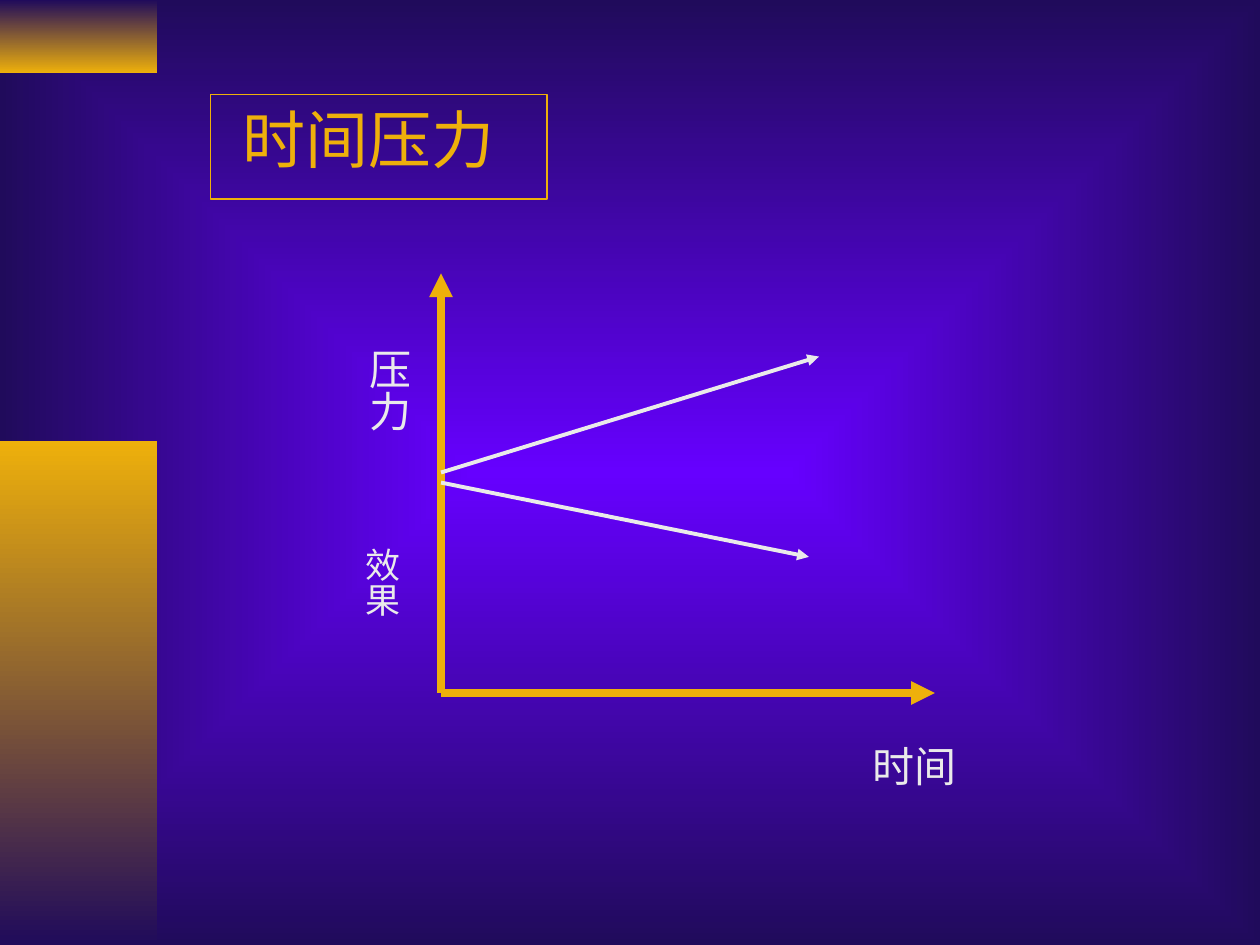
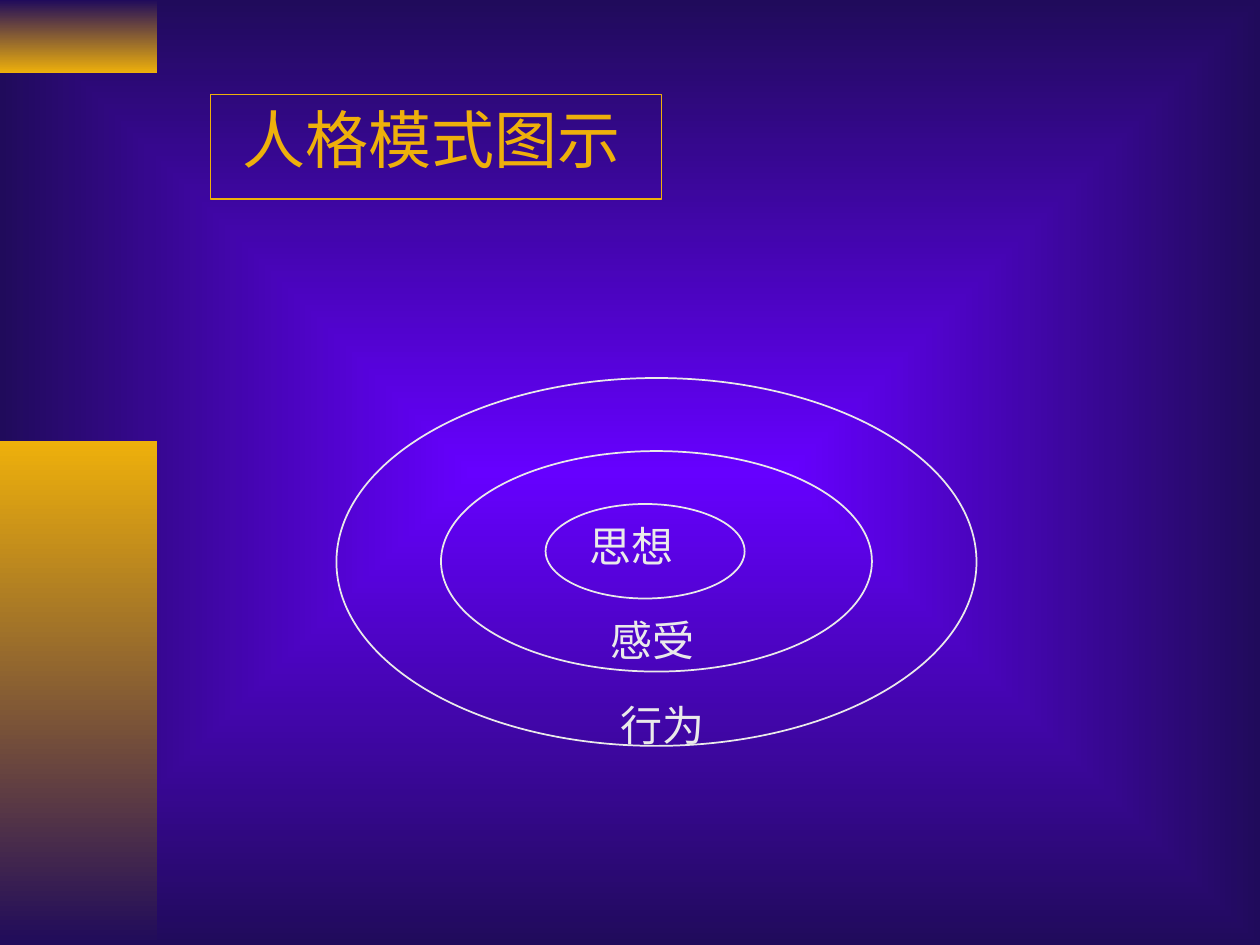
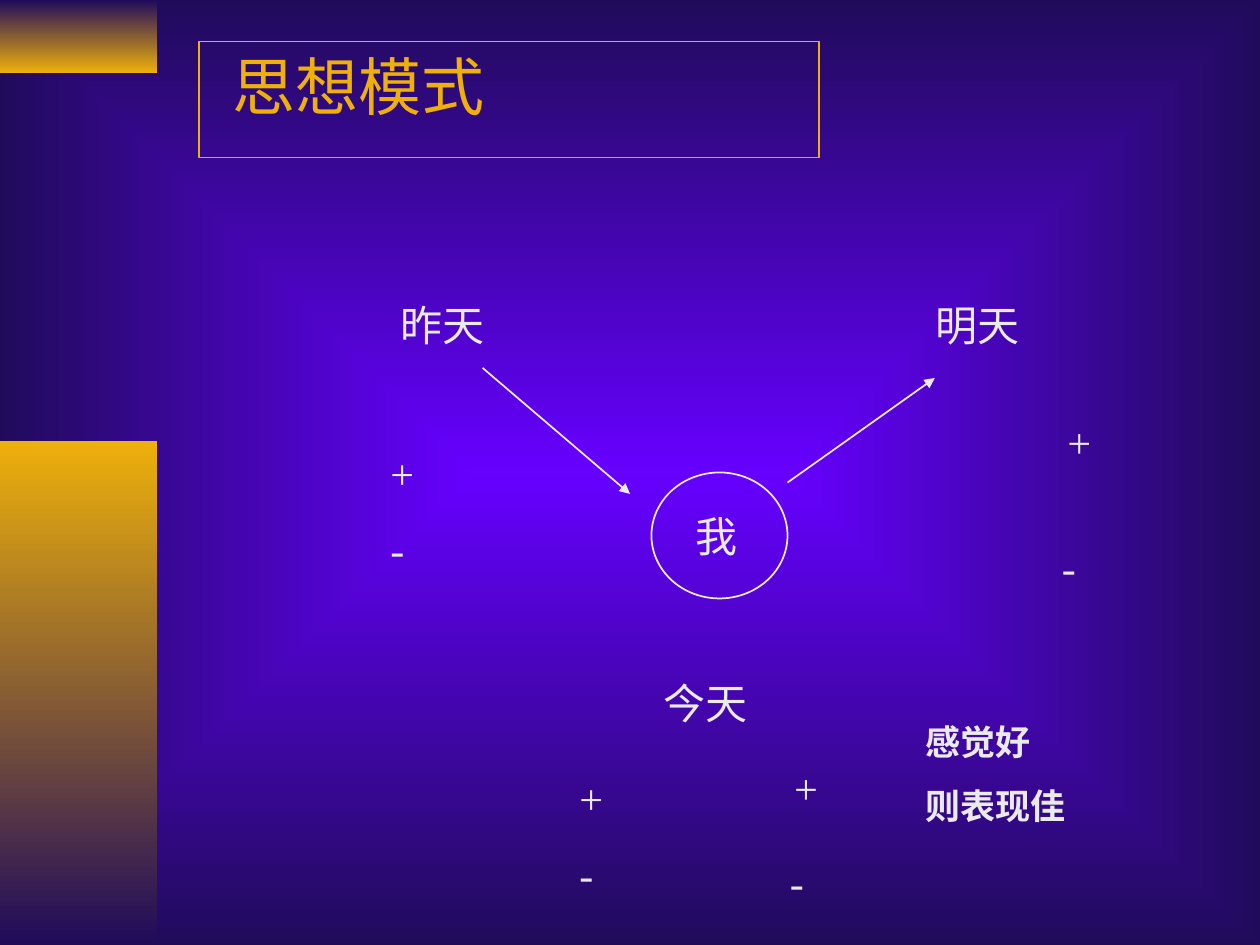
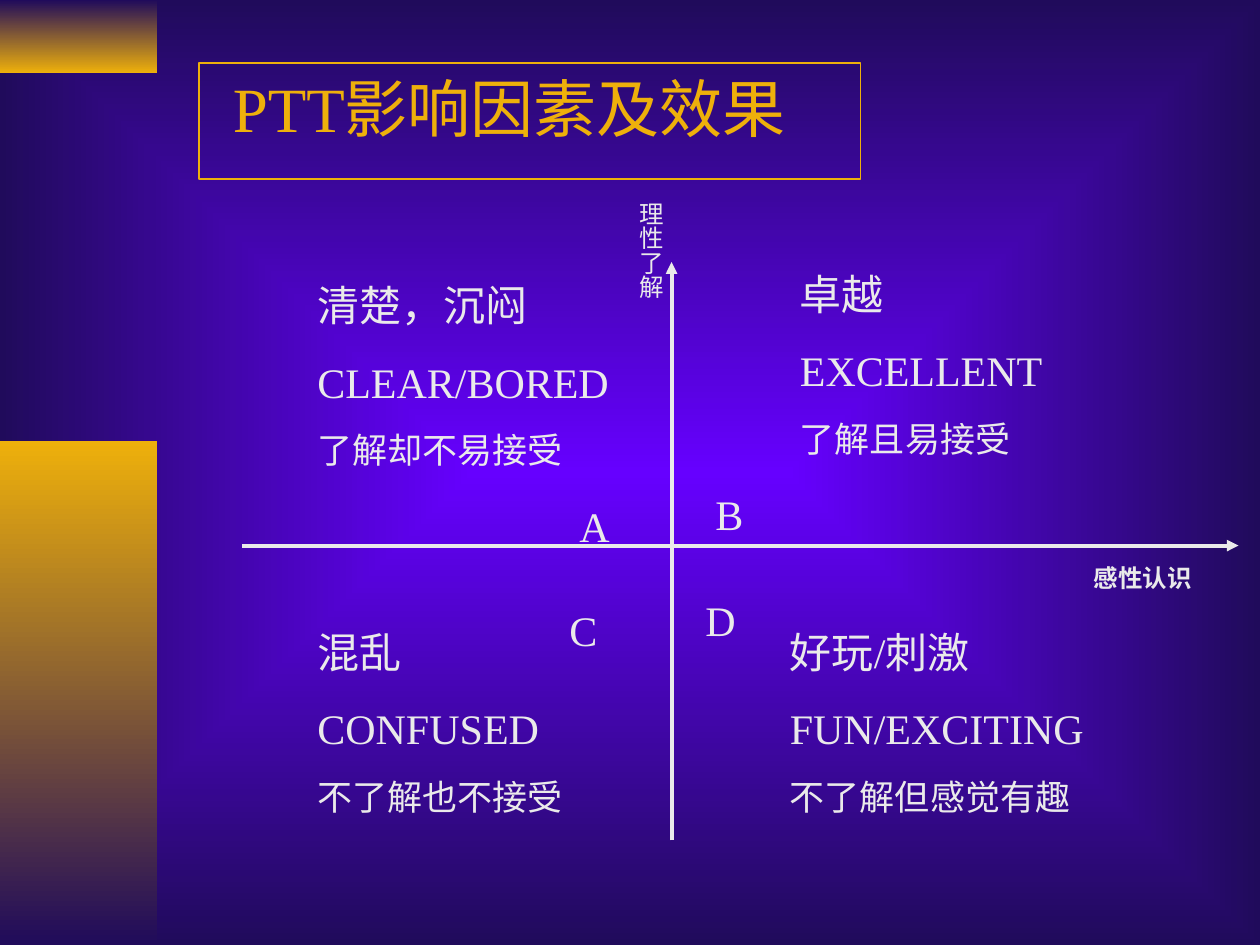
"""Build four slides on time pressure, personality, thinking and PTT effects."""
from dataclasses import dataclass

from lxml import etree
from pptx import Presentation
from pptx.dml.color import RGBColor
from pptx.enum.shapes import MSO_CONNECTOR, MSO_SHAPE
from pptx.enum.text import MSO_AUTO_SIZE
from pptx.oxml.ns import qn
from pptx.util import Inches, Pt

RECT, OVAL = MSO_SHAPE.RECTANGLE, MSO_SHAPE.OVAL
STRAIGHT = MSO_CONNECTOR.STRAIGHT
FIT = MSO_AUTO_SIZE.SHAPE_TO_FIT_TEXT


@dataclass(frozen=True)
class Theme:
    font: str = "Times New Roman"
    gold: str = "EEB00B"
    light: str = "EAEAEA"
    violet: str = "6600FF"
    navy: str = "200B5B"
    title: int = 36
    body: int = 24
    note: int = 20
    small: int = 14
    space: float = 0.625
    thin: float = 1
    medium: float = 2.25
    thick: float = 4.5


T = Theme()

BANDS = [
    ((0, 0, 1.25, 0.58), (T.navy, T.gold)),
    ((0, 3.5, 1.25, 4), (T.gold, T.navy)),
]

SLIDES = [
    {
        "title": ("时间压力", (1.83, 0.75, 5.25, 0.7)),
        "frame": (1.67, 0.75, 2.67, 0.83),
        "arrows": [
            ((3.5, 5.5), (7.42, 5.5), T.gold, T.thick),
            ((3.5, 5.5), (3.5, 2.17), T.gold, T.thick),
            ((3.5, 3.75), (6.5, 2.83), T.light, T.medium),
            ((3.5, 3.83), (6.42, 4.42), T.light, T.medium),
        ],
        "labels": [
            ((6.83, 5.83, 1.08, 0.5), ["时间"], {}),
            ((2.74, 2.67, 0.6, 1.08), ["压力"], {"vertical": True}),
            ((2.72, 4.25, 0.53, 1.17), ["效果"], {"sizes": [T.note], "vertical": True}),
        ],
    },
    {
        "title": ("人格模式图示", (1.83, 0.75, 5.25, 0.7)),
        "frame": (1.67, 0.75, 3.58, 0.83),
        "ovals": [
            (4.33, 4, 1.58, 0.75),
            (3.5, 3.58, 3.42, 1.75),
            (2.67, 3, 5.08, 2.92),
        ],
        "labels": [
            ((4.58, 4.08, 1.08, 0.5), ["思想"], {}),
            ((4.75, 4.83, 1, 0.5), ["感受"], {}),
            ((4.83, 5.5, 1, 0.5), ["行为"], {}),
        ],
    },
    {
        "title": ("思想模式", (1.75, 0.33, 5.08, 0.7)),
        "frame": (1.58, 0.33, 4.92, 0.92),
        "ovals": [(5.17, 3.75, 1.08, 1)],
        "arrows": [
            ((3.83, 2.92), (5, 3.92), T.light, T.thin),
            ((6.25, 3.83), (7.42, 3), T.light, T.thin),
        ],
        "labels": [
            ((5.42, 4, 1.08, 0.5), ["我"], {}),
            ((3.08, 2.33, 0.92, 0.5), ["昨天"], {}),
            ((7.33, 2.33, 0.92, 0.5), ["明天"], {}),
            ((5.17, 5.33, 1.17, 0.5), ["今天"], {}),
            ((7.25, 5.67, 2.17, 0.94), ["感觉好", "则表现佳"],
             {"sizes": [T.note] * 2, "bold": True}),
            ((3, 3.5, 0.92, 1.11), ["+", "-"], {}),
            ((8.24, 3.33, 0.6, 1.33), ["+"], {"vertical": True}),
            ((8.33, 4.25, 0.42, 0.5), ["-"], {}),
            ((4.5, 6.08, 0.58, 1.11), ["+", "-"], {}),
            ((6.07, 6.08, 0.6, 1.17), ["+"], {"vertical": True}),
            ((6.17, 6.75, 0.67, 0.5), ["-"], {}),
        ],
    },
    {
        "title": ("PTT影响因素及效果", (1.75, 0.5, 5.08, 0.7)),
        "frame": (1.58, 0.5, 5.25, 0.92),
        "arrows": [
            ((1.92, 4.33), (9.83, 4.33), T.light, T.medium),
            ((5.33, 6.67), (5.33, 2.08), T.light, T.medium),
        ],
        "labels": [
            ((2.42, 2.17, 2.83, 1.62), ["清楚，沉闷", "CLEAR/BORED", "了解却不易接受"], {}),
            ((6.25, 2.08, 2.92, 1.62), ["卓越", "EXCELLENT", "了解且易接受"], {}),
            ((2.42, 4.92, 2.92, 1.62), ["混乱", "CONFUSED", "不了解也不接受"], {}),
            ((6.17, 4.92, 3.08, 1.62), ["好玩/刺激", "FUN/EXCITING", "不了解但感觉有趣"], {}),
            ((4.5, 3.92, 0.58, 0.5), ["A"], {}),
            ((5.58, 3.83, 0.75, 0.5), ["B"], {}),
            ((4.42, 4.75, 0.83, 0.5), ["C"], {}),
            ((5.5, 4.67, 0.75, 0.5), ["D"], {}),
            ((8.58, 4.42, 1.42, 0.34), ["感性认识"], {"sizes": [T.small], "bold": True}),
            ((4.9, 1.5, 0.43, 1.33), ["理性了解"], {"sizes": [T.small], "vertical": True}),
        ],
    },
]


def rgb(color):
    return RGBColor.from_string(color)


def inches(values):
    return [Inches(v) for v in values]


def set_gradient(fill, colors):
    fill.gradient()
    for stop, color in zip(fill.gradient_stops, colors):
        stop.color.rgb = rgb(color)


def add_shape(slide, kind, at, color=None):
    sp = slide.shapes.add_shape(kind, *inches(at))
    sp.shadow.inherit = False
    sp.fill.background()
    if color:
        sp.line.color.rgb = rgb(color)
        sp.line.width = Pt(T.thin)
    else:
        sp.line.fill.background()
    return sp


def add_text(slide, at, lines, sizes=(T.body, T.body, T.note), color=T.light,
             bold=False, vertical=False):
    sp = slide.shapes.add_textbox(*inches(at))
    tf = sp.text_frame
    tf.word_wrap = True
    tf.auto_size = FIT
    if vertical:
        tf.margin_left = tf.margin_right = Inches(0.05)
        tf.margin_top = tf.margin_bottom = Inches(0.1)
        sp.element.txBody.find(qn("a:bodyPr")).set("vert", "eaVert")
    for i, (line, size) in enumerate(zip(lines, sizes)):
        p = tf.add_paragraph() if i else tf.paragraphs[0]
        p.text = line
        if i:
            p.space_before = Pt(size * T.space)
        p.font.name = T.font
        p.font.size = Pt(size)
        p.font.bold = bold
        p.font.color.rgb = rgb(color)


def add_arrow(slide, start, end, color, width):
    cx = slide.shapes.add_connector(STRAIGHT, *inches(start + end))
    cx.line.color.rgb = rgb(color)
    cx.line.width = Pt(width)
    ln = cx.line.fill and cx.element.spPr.find(qn("a:ln"))
    etree.SubElement(ln, qn("a:tailEnd"), type="triangle")
    etree.SubElement(cx.element.spPr, qn("a:effectLst"))


def style_master(master, slide):
    set_gradient(master.background.fill, (T.violet, T.navy))
    lin = next(master.element.cSld.iter(qn("a:lin")))
    radial = etree.Element(qn("a:path"), {"path": "rect"})
    etree.SubElement(radial, qn("a:fillToRect"), dict.fromkeys("ltrb", "50000"))
    lin.getparent().replace(lin, radial)
    for at, colors in BANDS:
        band = add_shape(slide, RECT, at)
        set_gradient(band.fill, colors)
        band.fill.gradient_angle = 270
        master.element.cSld.spTree.append(band.element)


def add_slide(slide, content):
    title, at = content["title"]
    add_text(slide, at, [title], sizes=[T.title], color=T.gold)
    add_shape(slide, RECT, content["frame"], T.gold)
    for at in content.get("ovals", []):
        add_shape(slide, OVAL, at, T.light)
    for arrow in content.get("arrows", []):
        add_arrow(slide, *arrow)
    for at, lines, style in content["labels"]:
        add_text(slide, at, lines, **style)


def main():
    prs = Presentation()
    prs.slide_width, prs.slide_height = Inches(10), Inches(7.5)
    blank = prs.slide_layouts[6]
    for i, content in enumerate(SLIDES):
        slide = prs.slides.add_slide(blank)
        if i == 0:
            style_master(prs.slide_master, slide)
        add_slide(slide, content)
    prs.save("out.pptx")


if __name__ == "__main__":
    main()
